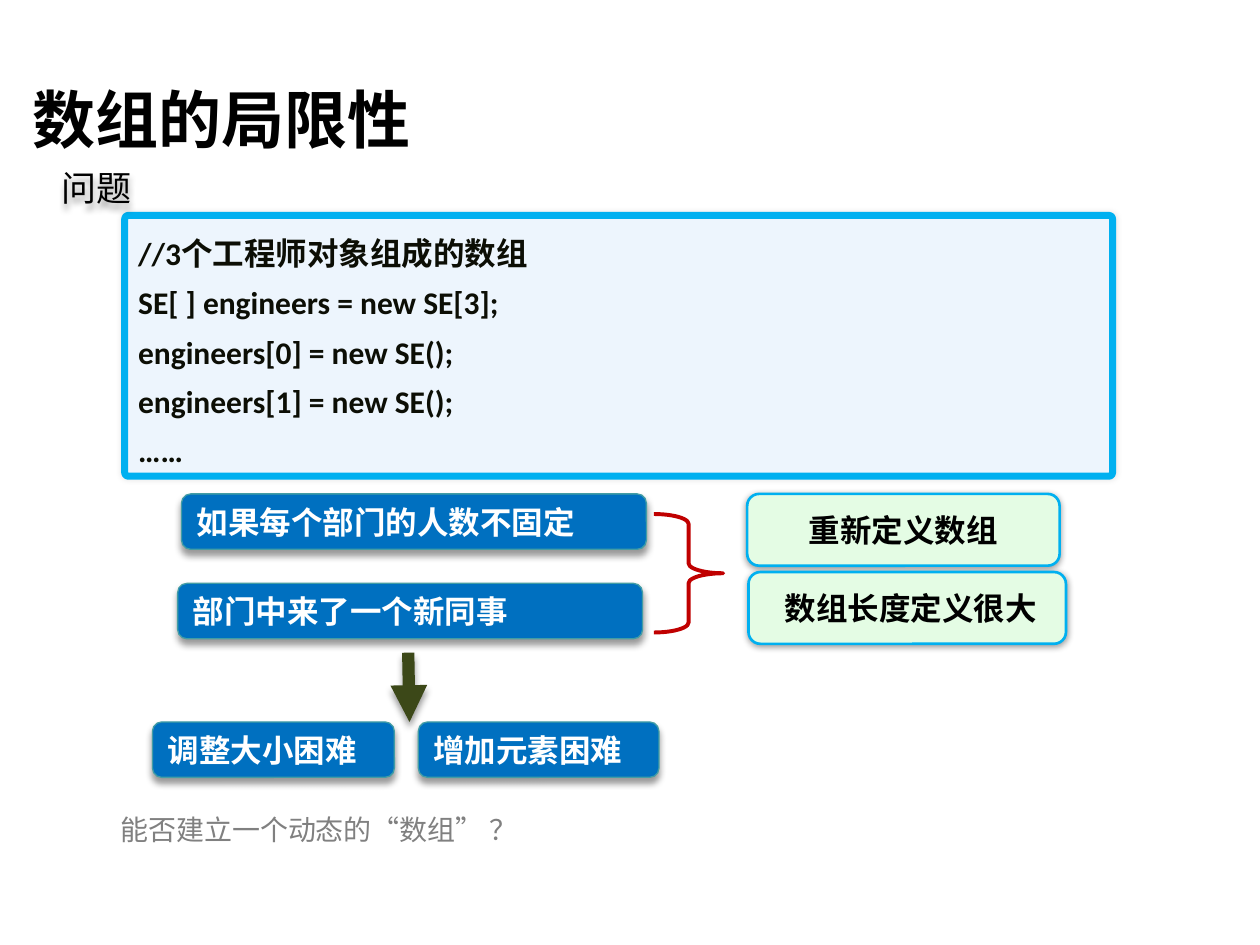
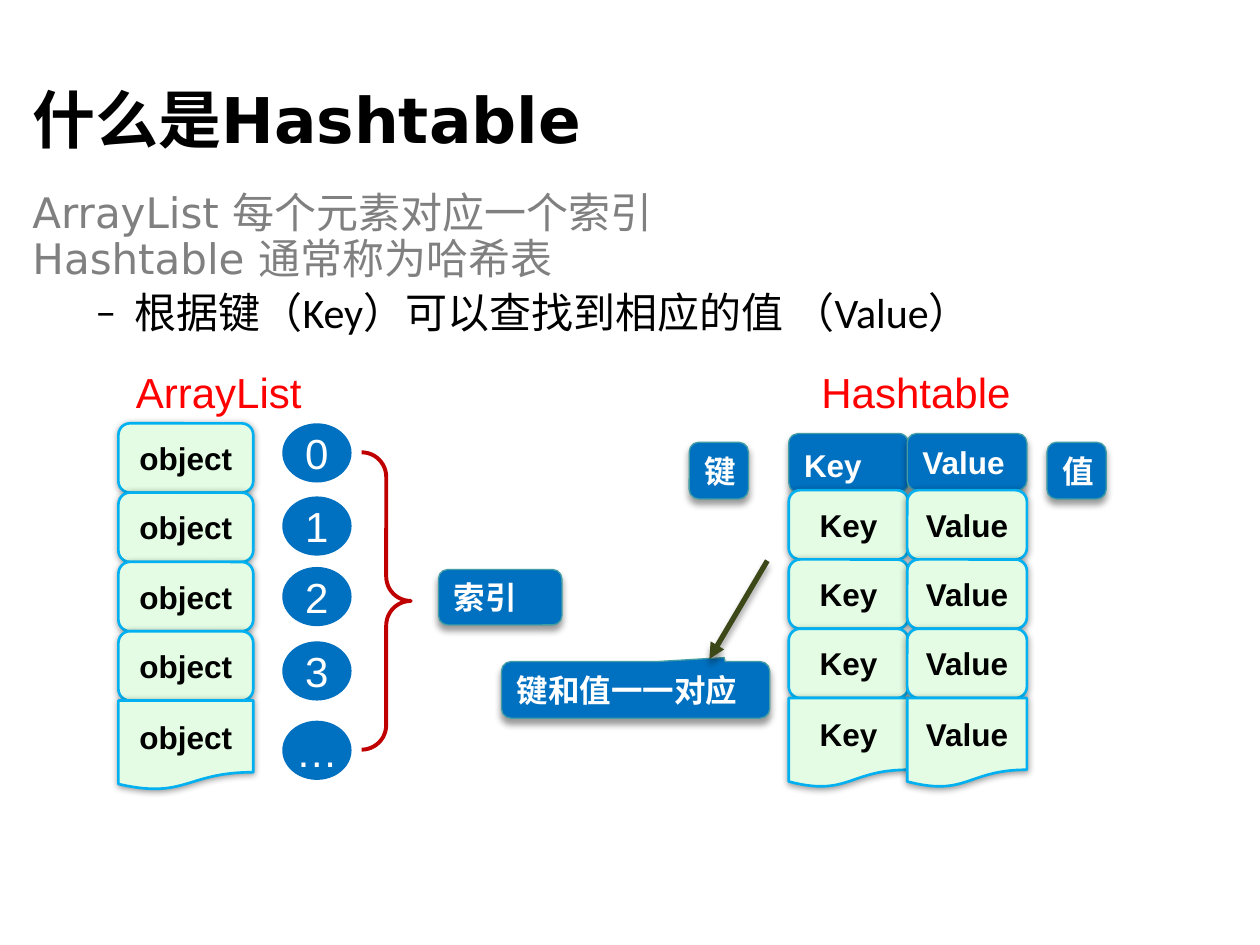
from dataclasses import dataclass, field
from typing import NamedTuple, Optional

from lxml.etree import SubElement
from pptx import Presentation
from pptx.dml.color import RGBColor
from pptx.enum.shapes import MSO_CONNECTOR, MSO_SHAPE as Kind
from pptx.enum.text import MSO_ANCHOR as Anchor, PP_ALIGN as Align
from pptx.oxml.ns import qn
from pptx.util import Inches, Pt

COLUMNS, ROWS = 100, 75
SLIDE_WIDTH, SLIDE_HEIGHT = Inches(10), Inches(7.5)

BLACK = RGBColor(0x00, 0x00, 0x00)
WHITE = RGBColor(0xFF, 0xFF, 0xFF)
GRAY = RGBColor(0x80, 0x80, 0x80)
RED = RGBColor(0xFF, 0x00, 0x00)
DARK_RED = RGBColor(0xC0, 0x00, 0x00)
BLUE = RGBColor(0x00, 0x70, 0xC0)
SKY = RGBColor(0x00, 0xB0, 0xF0)
TEAL = RGBColor(0x42, 0x9D, 0xA5)
MINT = RGBColor(0xE4, 0xFC, 0xE4)
PALE_BLUE = RGBColor(0xED, 0xF5, 0xFD)
CODE_INK = RGBColor(0x0C, 0x0E, 0x05)
OLIVE = RGBColor(0x3C, 0x48, 0x18)

CJK_FONT = "Noto Sans CJK SC"


class Shadow(NamedTuple):
    opacity: int
    blur: float
    distance: float


class Outline(NamedTuple):
    color: RGBColor
    width: float


class Area(NamedTuple):
    left: float
    top: float
    width: float
    height: float


@dataclass(frozen=True)
class TextStyle:
    font: str
    size: float
    color: RGBColor
    bold: bool = False
    paragraph: dict = field(default_factory=dict)


@dataclass(frozen=True)
class Look:
    text: Optional[TextStyle] = None
    fill: Optional[RGBColor] = None
    outline: Optional[Outline] = None
    shadow: Optional[Shadow] = None
    anchor: Anchor = Anchor.TOP
    wrap: bool = True


DROP = Shadow(40, 4, 3)
SOFT = Shadow(40, 4, 1)
GLOW = Shadow(10, 3, 0)
LEFT = {"alignment": Align.LEFT}
CENTER = {"alignment": Align.CENTER}
BODY_SPACING = {**LEFT, "line_spacing": 0.9}

TITLE = Look(TextStyle("DejaVu Sans", 36, BLACK, True, LEFT), anchor=Anchor.MIDDLE)
NOTE = Look(TextStyle("DejaVu Sans", 16, GRAY, paragraph=BODY_SPACING))
BODY = Look(TextStyle("DejaVu Sans", 24, GRAY, paragraph=BODY_SPACING))
BULLET = TextStyle("Calibri", 24, BLACK, paragraph={**BODY_SPACING, "space_before": Pt(4.8)})
TOPIC = Look(TextStyle(CJK_FONT, 20, BLACK, paragraph=LEFT), shadow=DROP,
             anchor=Anchor.MIDDLE, wrap=False)
HEADING = Look(TextStyle("Arial", 24, RED, paragraph=LEFT))
CODE = Look(TextStyle("Calibri", 18, CODE_INK, True, {**LEFT, "line_spacing": 1.3}),
            PALE_BLUE, Outline(SKY, 4), GLOW, Anchor.MIDDLE)
LABEL = Look(TextStyle("Arial", 18, WHITE, True, LEFT), BLUE, Outline(TEAL, 0.75),
             DROP, Anchor.BOTTOM)
CELL = Look(TextStyle("Arial", 18, BLACK, True, CENTER), MINT, Outline(SKY, 1.5),
            SOFT, Anchor.MIDDLE)
INDEX = Look(TextStyle("Arial", 24, WHITE, paragraph=CENTER), BLUE,
             anchor=Anchor.MIDDLE, wrap=False)
BRACE = Look(outline=Outline(DARK_RED, 2.25))

CELL_HEIGHT, LAST_CELL_HEIGHT = 5.5, 7.1


def across(columns: float) -> int:
    return round(SLIDE_WIDTH * columns / COLUMNS)


def down(rows: float) -> int:
    return round(SLIDE_HEIGHT * rows / ROWS)


def add_shadow(effects, shadow: Shadow) -> None:
    outer = SubElement(effects, qn("a:outerShdw"), blurRad=str(Pt(shadow.blur)),
                       dist=str(Pt(shadow.distance)), dir="5400000", rotWithShape="0")
    color = SubElement(outer, qn("a:srgbClr"), val=str(BLACK))
    SubElement(color, qn("a:alpha"), val=str(shadow.opacity * 1000))


def write(paragraph, text: str, style: TextStyle) -> None:
    for name, value in style.paragraph.items():
        setattr(paragraph, name, value)
    run = paragraph.add_run()
    run.text = text
    formats = {"name": style.font, "size": Pt(style.size), "bold": style.bold}
    for name, value in formats.items():
        setattr(run.font, name, value)
    run.font.color.rgb = style.color
    SubElement(run.font._element, qn("a:ea"), typeface=CJK_FONT)


def draw(slide, area: Area, look: Look, text: str = "", kind: Optional[Kind] = None,
         adjustments: tuple[float, ...] = ()):
    place = across(area.left), down(area.top), across(area.width), down(area.height)
    if kind is None:
        shape = slide.shapes.add_textbox(*place)
    else:
        shape = slide.shapes.add_shape(kind, *place)
    for number, value in enumerate(adjustments):
        shape.adjustments[number] = value
    shape.shadow.inherit = False
    if look.fill is None:
        shape.fill.background()
    else:
        shape.fill.solid()
        shape.fill.fore_color.rgb = look.fill
    if look.outline is None:
        shape.line.fill.background()
    else:
        shape.line.color.rgb = look.outline.color
        shape.line.width = Pt(look.outline.width)
    if look.shadow:
        add_shadow(shape._element.spPr.find(qn("a:effectLst")), look.shadow)
    if look.text:
        frame = shape.text_frame
        frame.word_wrap = look.wrap
        frame.vertical_anchor = look.anchor
        for number, line in enumerate(text.split("\n")):
            paragraph = frame.add_paragraph() if number else frame.paragraphs[0]
            write(paragraph, line, look.text)
    return shape


def rounded(slide, area: Area, look: Look, text: str) -> None:
    draw(slide, area, look, text, Kind.ROUNDED_RECTANGLE)


def draw_arrow(slide, start: tuple[float, float], end: tuple[float, float], width: float) -> None:
    arrow = slide.shapes.add_connector(
        MSO_CONNECTOR.STRAIGHT, across(start[0]), down(start[1]), across(end[0]), down(end[1]))
    arrow.line.color.rgb = OLIVE
    arrow.line.width = Pt(width)
    SubElement(arrow.line._get_or_add_ln(), qn("a:tailEnd"), type="triangle")
    add_shadow(SubElement(arrow._element.spPr, qn("a:effectLst")), DROP)


def draw_cells(slide, left: float, top: float, width: float, text: str, count: int) -> None:
    for row in range(count):
        rounded(slide, Area(left, top + row * CELL_HEIGHT, width, CELL_HEIGHT), CELL, text)
    last = Area(left, top + count * CELL_HEIGHT, width, LAST_CELL_HEIGHT)
    draw(slide, last, CELL, text, Kind.FLOWCHART_DOCUMENT)


def add_bullet(frame, text: str) -> None:
    paragraph = frame.add_paragraph()
    properties = paragraph._p.get_or_add_pPr()
    properties.set("marL", str(Inches(0.81)))
    properties.set("indent", str(Inches(-0.31)))
    SubElement(properties, qn("a:buClr")).append(
        SubElement(properties, qn("a:srgbClr"), val=str(BLACK)))
    SubElement(properties, qn("a:buFont"), typeface="Calibri")
    SubElement(properties, qn("a:buChar"), char="–")
    write(paragraph, text, BULLET)


def add_titled_slide(presentation, title: str):
    slide = presentation.slides.add_slide(presentation.slide_layouts[6])
    draw(slide, Area(1.6, 5.5, 96.7, 7.8), TITLE, title)
    return slide


def build_array_limits(presentation) -> None:
    slide = add_titled_slide(presentation, "数组的局限性")
    draw(slide, Area(8.6, 64.3, 83.6, 8.6), NOTE, "能否建立一个动态的“数组” ？")
    code = "\n".join((
        "//3个工程师对象组成的数组",
        "SE[ ] engineers = new SE[3];",
        "engineers[0] = new SE();",
        "engineers[1] = new SE();",
        "……",
    ))
    draw(slide, Area(9.9, 17.1, 78.4, 20.7), CODE, code, Kind.ROUNDED_RECTANGLE, (0.014,))
    labels = {
        "如果每个部门的人数不固定": Area(14.4, 39.2, 36.9, 4.4),
        "部门中来了一个新同事": Area(14.1, 46.3, 36.9, 4.4),
        "调整大小困难": Area(12.1, 57.3, 19.2, 4.4),
        "增加元素困难": Area(33.2, 57.3, 19.1, 4.4),
    }
    for text, area in labels.items():
        rounded(slide, area, LABEL, text)
    rounded(slide, Area(59.3, 39.2, 24.8, 5.7), CELL, "重新定义数组")
    draw(slide, Area(51.9, 40.8, 5.5, 9.4), BRACE, kind=Kind.RIGHT_BRACE, adjustments=(0.143, 0.5))
    rounded(slide, Area(59.4, 45.4, 25.2, 5.7), CELL, " 数组长度定义很大")
    draw(slide, Area(3.9, 12.7, 7.7, 4.4), TOPIC, "问题")
    draw_arrow(slide, (32.4, 51.8), (32.5, 57.3), 7)


def build_hashtable(presentation) -> None:
    slide = add_titled_slide(presentation, "什么是Hashtable")
    body = draw(slide, Area(1.6, 14.8, 96.7, 14.1), BODY,
                "ArrayList 每个元素对应一个索引\nHashtable 通常称为哈希表")
    add_bullet(body.text_frame, "根据键（Key）可以查找到相应的值 （Value）")

    for left, text in ((9.8, "ArrayList"), (64.2, "Hashtable")):
        draw(slide, Area(left, 28.6, 18.9, 5), HEADING, text)
    draw_cells(slide, 9.4, 33.6, 10.7, "object", 4)
    for text, top in zip("0123…", (33.6, 39.4, 45, 50.9, 57.2)):
        draw(slide, Area(22.4, top, 5.5, 4.7), INDEX, text, Kind.OVAL)
    draw(slide, Area(28.7, 35.9, 3.9, 23.6), BRACE, kind=Kind.RIGHT_BRACE, adjustments=(0.5, 0.5))

    labels = (
        ("索引", Area(34.8, 45.2, 9.8, 4.4)),
        ("Key", Area(62.6, 34.4, 9.5, 4.7)),
        ("Value", Area(72, 34.4, 9.5, 4.5)),
        ("值", Area(83.1, 35.1, 4.7, 4.5)),
        ("键", Area(54.7, 35.1, 4.7, 4.5)),
    )
    for text, area in labels:
        rounded(slide, area, LABEL, text)
    for left, text in ((62.6, "Key"), (72, "Value")):
        draw_cells(slide, left, 38.9, 9.5, text, 3)
    draw(slide, Area(39.8, 52.5, 21.3, 4.5), LABEL, "键和值一一对应",
         Kind.ROUNDED_RECTANGULAR_CALLOUT, (0.33, -0.57, 0.17))
    draw_arrow(slide, (60.9, 44.5), (56.3, 52.3), 3)


def main() -> None:
    presentation = Presentation()
    presentation.slide_width = SLIDE_WIDTH
    presentation.slide_height = SLIDE_HEIGHT
    build_array_limits(presentation)
    build_hashtable(presentation)
    presentation.save("out.pptx")


if __name__ == "__main__":
    main()
